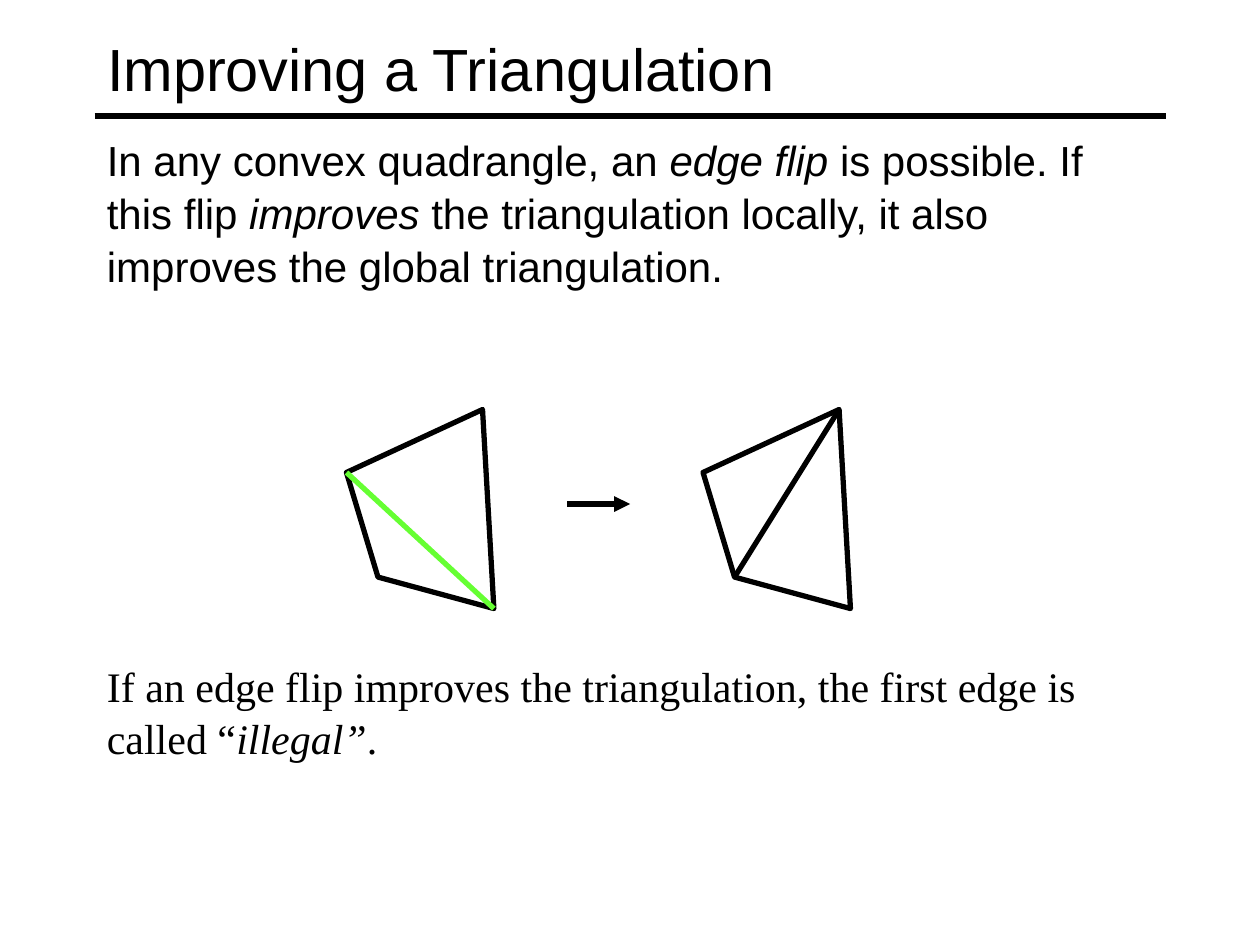
from dataclasses import dataclass

from lxml.etree import SubElement
from pptx import Presentation
from pptx.dml.color import RGBColor
from pptx.enum.shapes import MSO_CONNECTOR
from pptx.enum.text import MSO_ANCHOR, PP_ALIGN
from pptx.oxml.ns import qn
from pptx.util import Inches, Pt

BLACK, GREEN = "000000", "66FF33"
LINE_WIDTH = 3
LEFT, WIDTH = 0.75, 8.5
Point = tuple[float, float]
TextRun = tuple[str, bool]


@dataclass
class Quadrangle:
    corners: list[Point]
    diagonal: tuple[int, int]
    diagonal_color: str


def rgb(color: str) -> RGBColor:
    return RGBColor.from_string(color)


def style_line(line, color: str) -> None:
    line.color.rgb = rgb(color)
    line.width = Pt(LINE_WIDTH)


def add_line(slide, start: Point, end: Point, color: str = BLACK, arrow: bool = False) -> None:
    ends = [Inches(v) for v in (*start, *end)]
    cxn = slide.shapes.add_connector(MSO_CONNECTOR.STRAIGHT, *ends)
    style_line(cxn.line, color)
    sp_pr = cxn._element.spPr
    if arrow:
        SubElement(sp_pr.find(qn("a:ln")), qn("a:tailEnd"), type="triangle")
    SubElement(sp_pr, qn("a:effectLst"))


def add_quadrangle(slide, quad: Quadrangle) -> None:
    """Draw the outline and one diagonal."""
    points = [(Inches(x), Inches(y)) for x, y in quad.corners]
    builder = slide.shapes.build_freeform(*points[0])
    builder.add_line_segments(points[1:], close=True)
    sp = builder.convert_to_shape()
    sp.shadow.inherit = False
    sp.fill.background()
    style_line(sp.line, BLACK)
    SubElement(sp._element.spPr.find(qn("a:ln")), qn("a:round"))
    first, last = quad.diagonal
    add_line(slide, quad.corners[first], quad.corners[last], quad.diagonal_color)


def write_runs(p, runs: list[TextRun], font: str, size: float) -> None:
    p.alignment = PP_ALIGN.LEFT
    for text, italic in runs:
        r = p.add_run()
        r.text = text
        r.font.name = font
        r.font.size = Pt(size)
        r.font.italic = italic
        r.font.color.rgb = rgb(BLACK)


def add_text(slide, top: float, height: float, runs: list[TextRun], font: str) -> None:
    box = slide.shapes.add_textbox(Inches(LEFT), Inches(top), Inches(WIDTH), Inches(height))
    tf = box.text_frame
    tf.word_wrap = True
    p = tf.paragraphs[0]
    p.line_spacing = 1.05
    write_runs(p, runs, font, 24)


def add_title(slide, text: str) -> None:
    title = slide.shapes.title
    title.left, title.top = Inches(LEFT), Inches(0.08)
    title.width, title.height = Inches(WIDTH), Inches(0.92)
    tf = title.text_frame
    tf.vertical_anchor = MSO_ANCHOR.MIDDLE
    write_runs(tf.paragraphs[0], [(text, False)], "Arial", 34)


def main() -> None:
    prs = Presentation()
    prs.slide_width, prs.slide_height = Inches(10), Inches(7.5)
    slide = prs.slides.add_slide(prs.slide_layouts[5])

    add_line(slide, (LEFT, 0.92), (LEFT + WIDTH, 0.92))
    add_title(slide, "Improving a Triangulation")
    add_text(slide, 1, 1.53, [
        ("In any convex quadrangle, an ", False),
        ("edge flip", True),
        (" is possible. If this flip ", False),
        ("improves", True),
        (" the triangulation locally, it also improves the global triangulation.", False),
    ], "Arial")

    corners = [(2.75, 3.75), (3.83, 3.25), (3.92, 4.83), (3, 4.58)]
    shifted = [(x + 2.83, y) for x, y in corners]
    add_quadrangle(slide, Quadrangle(corners, (0, 2), GREEN))
    add_quadrangle(slide, Quadrangle(shifted, (3, 1), BLACK))
    add_line(slide, (4.5, 4), (5, 4), arrow=True)

    add_text(slide, 5.17, 1.17, [
        ("If an edge flip improves the triangulation, the first edge is called “", False),
        ("illegal”", True),
        (".", False),
    ], "Times New Roman")
    prs.save("out.pptx")


if __name__ == "__main__":
    main()
